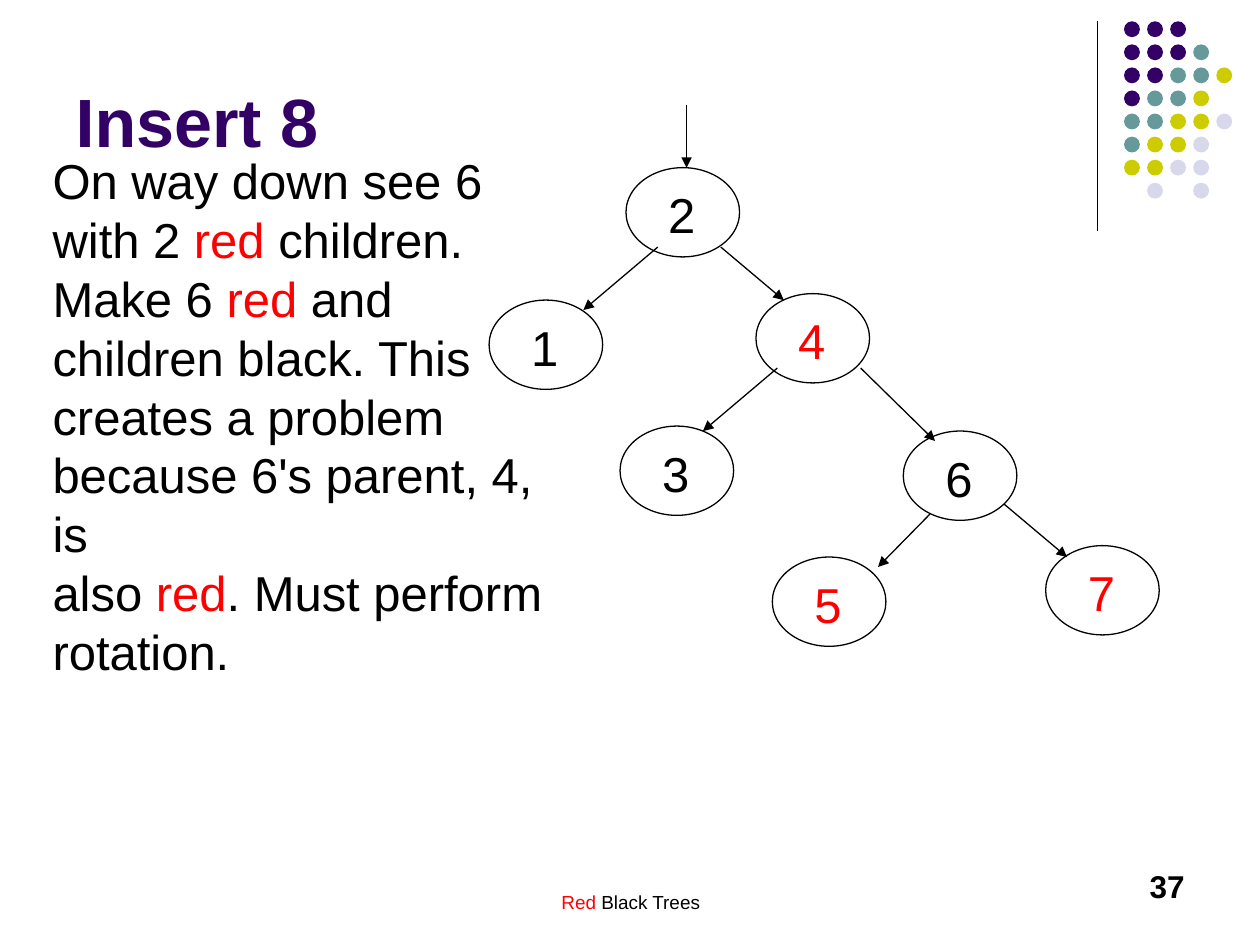
from dataclasses import dataclass

import lxml.etree
import pptx
import pptx.dml.color
import pptx.enum.shapes
import pptx.enum.text
import pptx.oxml.ns
import pptx.util

Cm = pptx.util.Cm
Pt = pptx.util.Pt
Align = pptx.enum.text.PP_ALIGN

FONT = "Arial"
BLACK, RED, PURPLE = "000000", "FF0000", "330066"
DOT_COLORS = {"P": PURPLE, "T": "669999", "Y": "CCCC00", "L": "D8D8EC"}
DOT_ROWS = ["PPP", "PPPT", "PPTTY", "PTTY", "TTYYL", "TYYL", "YYLL", ".L.L"]
DOT_LEFT, DOT_TOP, DOT_PITCH, DOT_SIZE = 22.66, 0.43, 0.465, 0.32
NODE_WIDTH, NODE_HEIGHT = 2.29, 1.8
TREE_TEXT_SIZE, TREE_LINE_SPACING = 28, 33.6


@dataclass(frozen=True)
class Node:
    key: str
    left: float
    top: float
    color: str = BLACK


@dataclass(frozen=True)
class Segment:
    start_x: float
    start_y: float
    end_x: float
    end_y: float
    arrow: bool = True


@dataclass(frozen=True)
class Words:
    text: str
    color: str = BLACK


NODES = [
    Node("2", 12.62, 3.38),
    Node("1", 9.86, 6.05),
    Node("4", 15.24, 5.92, RED),
    Node("3", 12.5, 8.59),
    Node("6", 18.21, 8.69),
    Node("5", 15.57, 11.23, RED),
    Node("7", 21.08, 11.0, RED),
]
SEGMENTS = [
    Segment(22.12, 0.43, 22.12, 4.65, arrow=False),
    Segment(13.84, 2.11, 13.84, 3.38),
    Segment(14.53, 4.98, 15.8, 6.05),
    Segment(13.26, 4.98, 11.76, 6.25),
    Segment(17.35, 7.42, 18.85, 8.89),
    Segment(15.67, 7.42, 14.17, 8.69),
    Segment(18.75, 10.36, 17.7, 11.43),
    Segment(20.24, 10.16, 21.51, 11.23),
]
EXPLANATION = [
    [Words("On way down see 6")],
    [Words("with 2 "), Words("red", RED), Words(" children.")],
    [Words("Make 6 "), Words("red", RED), Words(" and")],
    [Words("children black. This")],
    [Words("creates a problem")],
    [Words("because 6's parent, 4, is")],
    [Words("also "), Words("red", RED), Words(". Must perform")],
    [Words("rotation.")],
]


def rgb(value: str) -> pptx.dml.color.RGBColor:
    return pptx.dml.color.RGBColor.from_string(value)


def add_run(paragraph, words: Words, size: float, bold: bool = False) -> None:
    run = paragraph.add_run()
    run.text = words.text
    run.font.name = FONT
    run.font.size = Pt(size)
    run.font.bold = bold
    run.font.color.rgb = rgb(words.color)


def add_text(shapes, box: tuple, lines: list, size: float, bold: bool = False,
             alignment=Align.LEFT, wrap: bool = True, spacing: float | None = None):
    shape = shapes.add_textbox(*map(Cm, box))
    shape.text_frame.word_wrap = wrap
    paragraph = shape.text_frame.paragraphs[0]
    paragraph.alignment = alignment
    if spacing:
        paragraph.line_spacing = Pt(spacing)
    for index, line in enumerate(lines):
        if index:
            paragraph.add_line_break()
        for words in line:
            add_run(paragraph, words, size, bold)
    return shape


def add_ellipse(shapes, left: float, top: float, width: float, height: float):
    shape = shapes.add_shape(pptx.enum.shapes.MSO_SHAPE.OVAL,
                             Cm(left), Cm(top), Cm(width), Cm(height))
    shape.shadow.inherit = False
    return shape


def add_dots(slide) -> None:
    group = slide.shapes.add_group_shape()
    for row, keys in enumerate(DOT_ROWS):
        for column, key in enumerate(keys):
            if key in DOT_COLORS:
                dot = add_ellipse(group.shapes, DOT_LEFT + column * DOT_PITCH,
                                  DOT_TOP + row * DOT_PITCH, DOT_SIZE, DOT_SIZE)
                dot.fill.solid()
                dot.fill.fore_color.rgb = rgb(DOT_COLORS[key])
                dot.line.fill.background()


def add_node(slide, node: Node) -> None:
    group = slide.shapes.add_group_shape()
    ellipse = add_ellipse(group.shapes, node.left, node.top, NODE_WIDTH, NODE_HEIGHT)
    ellipse.fill.background()
    ellipse.line.color.rgb = rgb(BLACK)
    ellipse.line.width = Pt(0.75)
    add_text(group.shapes, (node.left + 0.6, node.top + 0.22, 1.04, 1.45),
             [[Words(node.key, node.color)]], TREE_TEXT_SIZE,
             wrap=False, spacing=TREE_LINE_SPACING)


def add_segment(slide, segment: Segment) -> None:
    connector = slide.shapes.add_connector(
        pptx.enum.shapes.MSO_CONNECTOR.STRAIGHT,
        Cm(segment.start_x), Cm(segment.start_y), Cm(segment.end_x), Cm(segment.end_y))
    connector.line.color.rgb = rgb(BLACK)
    connector.line.width = Pt(0.75)
    properties = connector._element.spPr
    if segment.arrow:
        line = properties.find(pptx.oxml.ns.qn("a:ln"))
        lxml.etree.SubElement(line, pptx.oxml.ns.qn("a:tailEnd"), type="triangle")
    lxml.etree.SubElement(properties, pptx.oxml.ns.qn("a:effectLst"))


def add_title(slide, text: str) -> None:
    title = slide.shapes.title
    title.left, title.top, title.width, title.height = map(Cm, (1.27, 0.33, 20.4, 3.05))
    title.text_frame.vertical_anchor = pptx.enum.text.MSO_ANCHOR.BOTTOM
    paragraph = title.text_frame.paragraphs[0]
    paragraph.alignment = Align.LEFT
    add_run(paragraph, Words(text, PURPLE), 39, bold=True)


def main() -> None:
    presentation = pptx.Presentation()
    presentation.slide_width, presentation.slide_height = Cm(25.4), Cm(19.05)
    slide = presentation.slides.add_slide(presentation.slide_layouts.get_by_name("Title Only"))
    add_dots(slide)
    footer = add_text(slide.shapes, (8.69, 17.35, 8.05, 1.27),
                      [[Words("Red", RED), Words(" Black Trees")]], 10.8,
                      alignment=Align.CENTER)
    footer.text_frame.margin_top = Cm(0.6)
    add_text(slide.shapes, (18.21, 17.35, 5.92, 1.27), [[Words("37")]], 18,
             bold=True, alignment=Align.RIGHT)
    add_title(slide, "Insert 8")
    for node in NODES:
        add_node(slide, node)
    for segment in SEGMENTS:
        add_segment(slide, segment)
    add_text(slide.shapes, (0.81, 2.92, 11.15, 9.75), EXPLANATION, TREE_TEXT_SIZE,
             wrap=False, spacing=TREE_LINE_SPACING)
    presentation.save("out.pptx")


if __name__ == "__main__":
    main()
